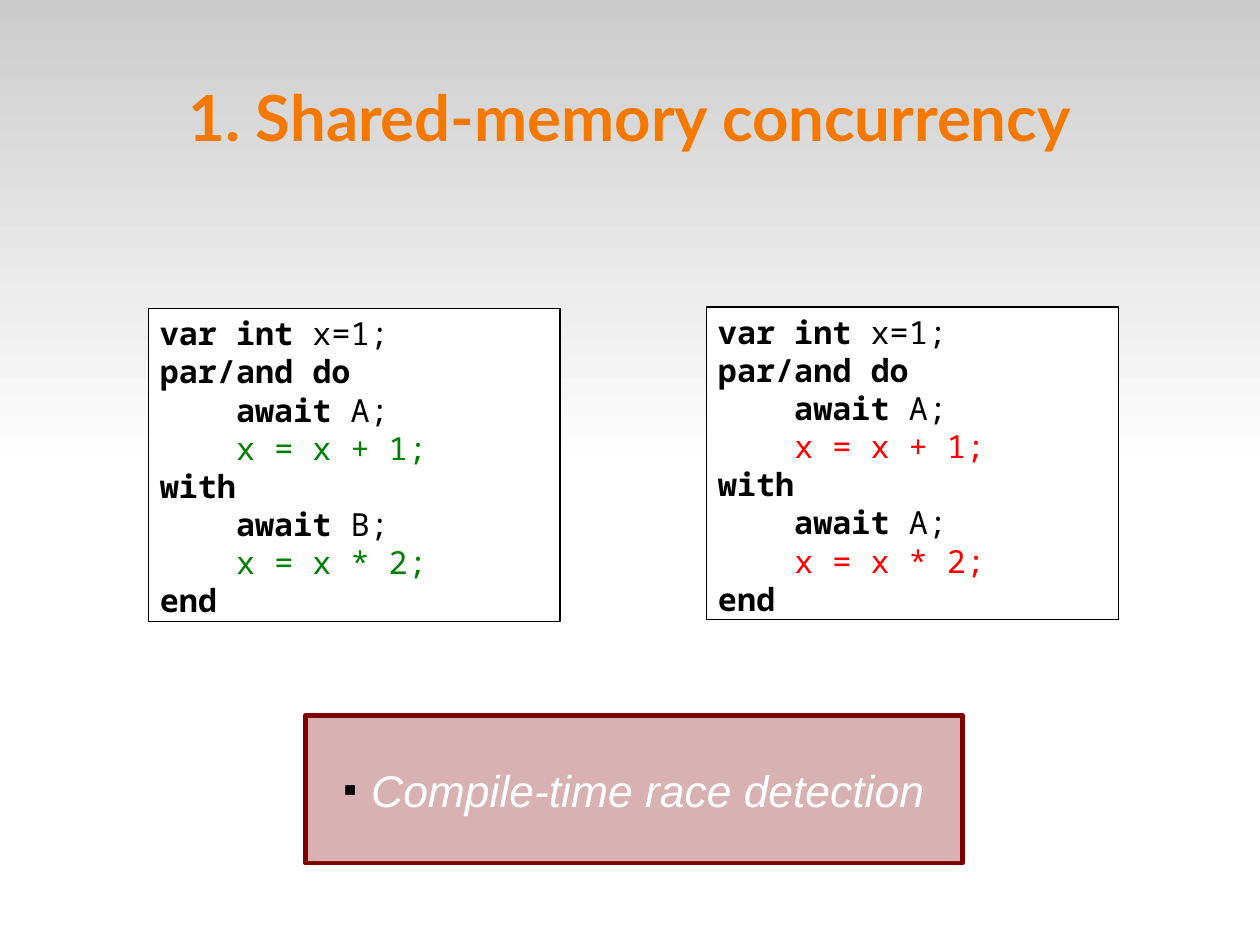
from lxml.etree import SubElement
from pptx import Presentation
from pptx.dml.color import RGBColor
from pptx.enum.shapes import MSO_SHAPE as SHAPE
from pptx.enum.text import MSO_ANCHOR as ANCHOR, PP_ALIGN as ALIGN
from pptx.oxml.ns import qn
from pptx.util import Pt

COLORS = {"title": "F57900", "top": "CCCCCC", "white": "FFFFFF", "black": "000000",
          "safe": "008000", "race": "FF0000", "note": "800000"}
WIDTH, HEIGHT = 793.7, 595.28


def rgb(name):
    """Look up a colour by name."""
    return RGBColor.from_string(COLORS[name])


def add_run(p, text, font, size, color="black", bold=False, italic=False):
    """Append a formatted run to a paragraph."""
    r = p.add_run()
    r.text = text
    f = r.font
    f.name, f.size, f.bold, f.italic = font, Pt(size), bold, italic
    f.color.rgb = rgb(color)


def set_frame(tf, x_inset, y_inset, anchor):
    """Set wrapping, insets and anchor of a text frame."""
    tf.word_wrap = True
    tf.margin_left = tf.margin_right = Pt(x_inset)
    tf.margin_top = tf.margin_bottom = Pt(y_inset)
    tf.vertical_anchor = anchor


def add_box(s, x, y, w, h, fill="white"):
    """Add a plain rectangle without shadow or outline."""
    sp = s.shapes.add_shape(SHAPE.RECTANGLE, Pt(x), Pt(y), Pt(w), Pt(h))
    sp.shadow.inherit = False
    sp.fill.solid()
    sp.fill.fore_color.rgb = rgb(fill)
    sp.line.fill.background()
    return sp


def set_outline(sp, color, width):
    """Give a shape a solid outline."""
    sp.line.color.rgb = rgb(color)
    sp.line.width = Pt(width)


def add_backdrop(s, x, y, w, h):
    """Place the grey-to-white band behind everything."""
    sp = add_box(s, x, y, w, h)
    sp.fill.gradient()
    sp.fill.gradient_angle = 270
    for stop, color in zip(sp.fill.gradient_stops, ("top", "white")):
        stop.color.rgb = rgb(color)
    s.shapes.title.element.addprevious(sp.element)


def add_title(s, x, y, w, h, text):
    """Move and format the title placeholder."""
    sp = s.shapes.title
    sp.left, sp.top, sp.width, sp.height = Pt(x), Pt(y), Pt(w), Pt(h)
    tf = sp.text_frame
    set_frame(tf, 0, 0, ANCHOR.MIDDLE)
    p = tf.paragraphs[0]
    p.alignment = ALIGN.CENTER
    add_run(p, text, "Lato", 40, color="title", bold=True)


def add_code(s, x, y, w, h, second_event, accent):
    """Add a listing of two parallel trails with accented assignments."""
    lines = [("var int", " x=1;", ""), ("par/and do", "", ""),
             ("    await ", "A;", ""), ("", "    ", "x = x + 1;"),
             ("with", "", ""),
             ("    await ", f"{second_event};", ""), ("", "    ", "x = x * 2;"),
             ("end", "", "")]
    sp = add_box(s, x, y, w, h)
    set_outline(sp, "black", 0)
    tf = sp.text_frame
    set_frame(tf, 7.2, 3.6, ANCHOR.TOP)
    for i, (keyword, plain, assignment) in enumerate(lines):
        p = tf.add_paragraph() if i else tf.paragraphs[0]
        p.alignment = ALIGN.LEFT
        for text, color, bold in ((keyword, "black", True), (plain, "black", False),
                                  (assignment, accent, False)):
            if text:
                add_run(p, text, "Noto Sans Mono", 20, color=color, bold=bold)


def add_note(s, x, y, w, h, text):
    """Add the translucent box with its bulleted remark."""
    sp = add_box(s, x, y, w, h, fill="note")
    color = sp.element.spPr.find(qn("a:solidFill"))[0]
    SubElement(color, qn("a:alpha"), val="30000")
    set_outline(sp, "note", 2.89)
    tf = sp.text_frame
    set_frame(tf, 8.64, 5.04, ANCHOR.MIDDLE)
    p = tf.paragraphs[0]
    p.alignment = ALIGN.CENTER
    pPr = p._p.get_or_add_pPr()
    pPr.set("marL", str(Pt(17)))
    pPr.set("indent", str(-Pt(17)))
    bullet_color = SubElement(pPr, qn("a:buClr"))
    SubElement(bullet_color, qn("a:srgbClr"), val=COLORS["black"])
    SubElement(pPr, qn("a:buSzPct"), val="45000")
    SubElement(pPr, qn("a:buFont"), typeface="Arial")
    SubElement(pPr, qn("a:buChar"), char="■")
    add_run(p, text, "Arial", 28, color="white", italic=True)


def main():
    """Build and save the slide."""
    prs = Presentation()
    prs.slide_width, prs.slide_height = Pt(WIDTH), Pt(HEIGHT)
    s = prs.slides.add_slide(prs.slide_layouts[5])
    add_backdrop(s, 0, 0, WIDTH, HEIGHT / 2)
    add_title(s, 39.6, 23.5, 714.24, 99.2, "1. Shared-memory concurrency")
    add_code(s, 445.2, 193.4, 259.2, 197, "A", "race")
    add_code(s, 93.6, 194.3, 259.2, 197, "B", "safe")
    add_note(s, 192.4, 450.8, 414, 92.9, "Compile-time race detection")
    prs.save("out.pptx")


if __name__ == "__main__":
    main()
